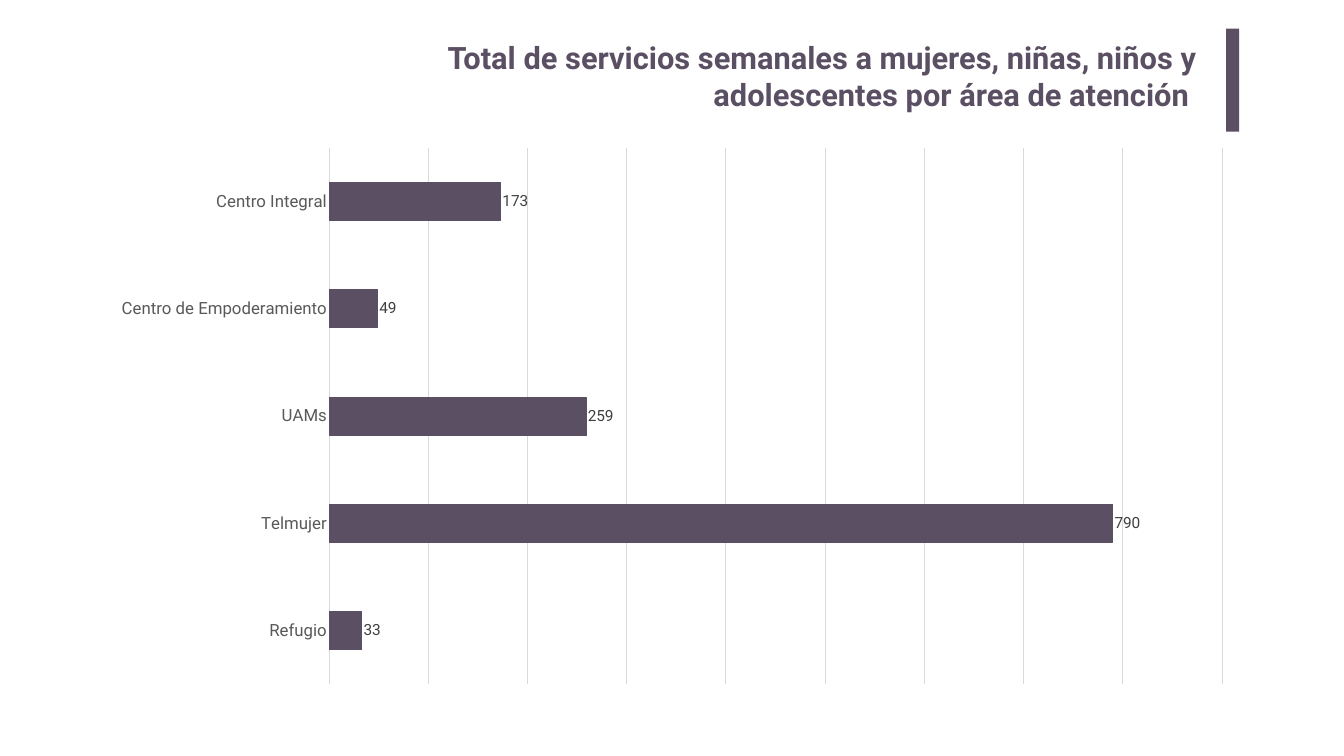
"""Build a slide with a bar chart of weekly services by area of care."""
import pptx
import pptx.chart.data
import pptx.dml.color
import pptx.enum.chart
import pptx.enum.shapes
import pptx.enum.text
import pptx.util

Inches, Pt = pptx.util.Inches, pptx.util.Pt
PLUM, GRID = "5B4F63", "D9D9D9"
SERVICES = {
    "Centro Integral": 173,
    "Centro de Empoderamiento": 49,
    "UAMs": 259,
    "Telmujer": 790,
    "Refugio": 33,
}


def paint(target, color):
    """Give a fill or a line one solid colour."""
    if hasattr(target, "solid"):
        target.solid()
        target = target.fore_color
    else:
        target.width = Pt(0.75)
        target = target.color
    target.rgb = pptx.dml.color.RGBColor.from_string(color)


def style(font, size, color):
    """Set the typeface, size and colour of a font."""
    font.name = "Roboto"
    font.size = Pt(size)
    font.color.rgb = pptx.dml.color.RGBColor.from_string(color)


deck = pptx.Presentation()
deck.slide_width, deck.slide_height = Inches(26.67), Inches(15)
page = deck.slides.add_slide(deck.slide_layouts[6])

title_box = page.shapes.add_textbox(Inches(6.56), Inches(0.67), Inches(17.4), Inches(2.04))
frame = title_box.text_frame
frame.word_wrap = True
frame.vertical_anchor = pptx.enum.text.MSO_ANCHOR.TOP
frame.margin_left = frame.margin_right = Inches(0.2)
frame.margin_top = frame.margin_bottom = Inches(0.1)
para = frame.paragraphs[0]
para.alignment = pptx.enum.text.PP_ALIGN.RIGHT
span = para.add_run()
span.text = ("Total de servicios semanales a mujeres, niñas, niños y "
             "adolescentes por área de atención ")
style(span.font, 44, PLUM)
span.font.bold = True

accent = page.shapes.add_shape(pptx.enum.shapes.MSO_SHAPE.RECTANGLE,
                               Inches(24.33), Inches(0.57), Inches(0.26), Inches(2.04))
accent.shadow.inherit = False
paint(accent.fill, PLUM)
accent.line.fill.background()

services_data = pptx.chart.data.CategoryChartData()
services_data.categories = list(SERVICES)
services_data.add_series("Series 1", list(SERVICES.values()))
chart = page.shapes.add_chart(pptx.enum.chart.XL_CHART_TYPE.BAR_CLUSTERED,
                              Inches(1.96), Inches(2.71), Inches(22.74), Inches(11.09),
                              services_data).chart
style(chart.font, 10, "000000")
chart.has_legend = False
chart.has_title = False

areas = chart.category_axis
areas.reverse_order = True
areas.major_tick_mark = areas.minor_tick_mark = pptx.enum.chart.XL_TICK_MARK.NONE
areas.has_major_gridlines = False
style(areas.tick_labels.font, 24, "595959")
paint(areas.format.line, GRID)

amounts = chart.value_axis
amounts.minimum_scale, amounts.maximum_scale, amounts.major_unit = 0, 900, 100
amounts.has_major_gridlines = True
paint(amounts.major_gridlines.format.line, GRID)
amounts.visible = False

plot = chart.plots[0]
plot.gap_width = 182
plot.vary_by_categories = False
bars = plot.series[0]
paint(bars.format.fill, PLUM)
paint(bars.format.line, PLUM)
labels = bars.data_labels
labels.show_value = True
labels.position = pptx.enum.chart.XL_LABEL_POSITION.OUTSIDE_END
style(labels.font, 22, "404040")

deck.save("out.pptx")
